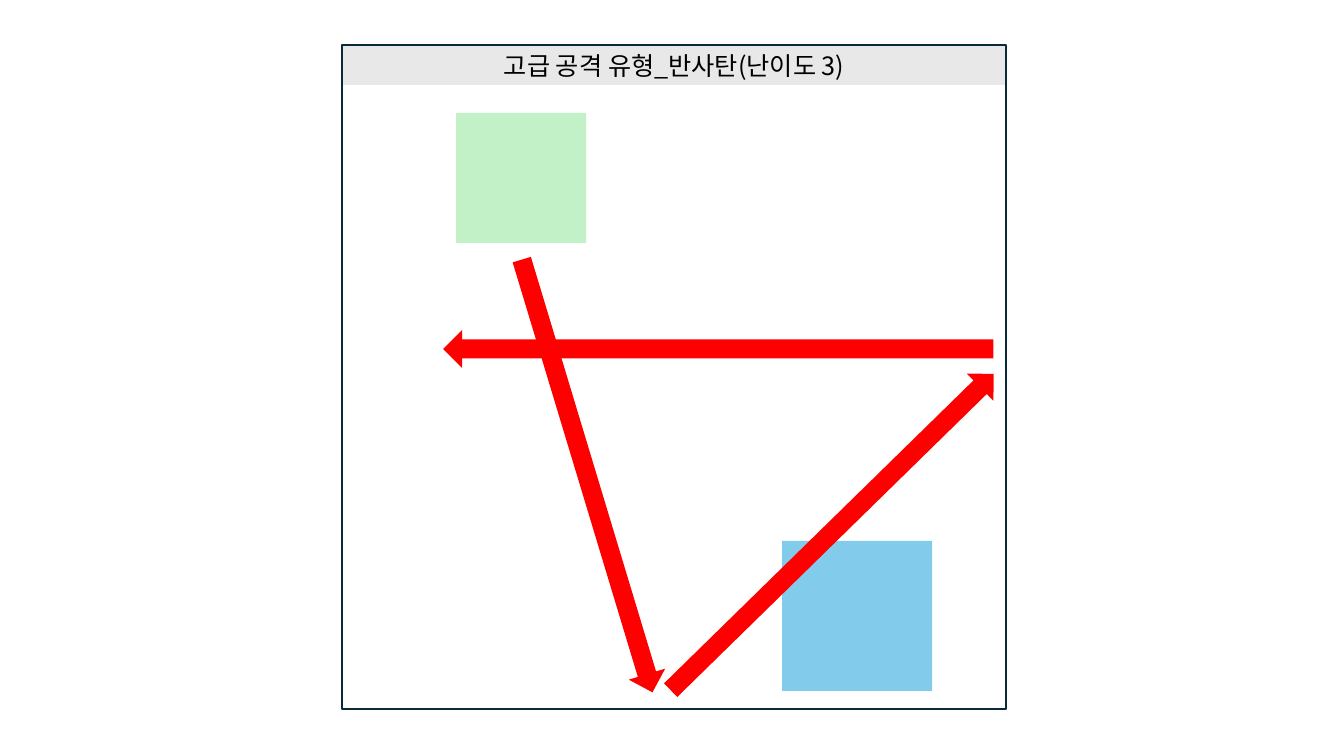
from lxml import etree
from pptx import Presentation, util as u
from pptx.dml.color import RGBColor
from pptx.enum import shapes, text
from pptx.oxml.ns import qn

BLACK = RGBColor(0x00, 0x00, 0x00)
GREY = RGBColor(0xE8, 0xE8, 0xE8)
BLUE = RGBColor(0x83, 0xCB, 0xEB)
GREEN = RGBColor(0xC2, 0xF1, 0xC8)
NAVY = RGBColor(0x09, 0x2A, 0x39)
RED = RGBColor(0xFF, 0x00, 0x00)


class Board:
    FONT = "Noto Sans CJK KR"
    SIZE = 18
    PX = u.Inches(1) / 100.8
    ARROW_WIDTH = 38

    def __init__(self, slide):
        self.s = slide

    def shape(self, kind, x, y, w, h, fill=None, line=None):
        box = [round(v * self.PX) for v in (x, y, w, h)]
        sp = self.s.shapes.add_shape(kind, *box)
        sp.shadow.inherit = False
        if fill is None:
            sp.fill.background()
        else:
            sp.fill.solid()
            sp.fill.fore_color.rgb = fill
        if line is None:
            sp.line.fill.background()
        else:
            sp.line.color.rgb = line
            sp.line.width = u.Pt(1.5)
        return sp

    def rect(self, x, y, w, h, fill=None, line=None):
        return self.shape(shapes.MSO_SHAPE.RECTANGLE, x, y, w, h, fill, line)

    def title(self, x, y, w, h, words):
        tf = self.rect(x, y, w, h, GREY).text_frame
        tf.word_wrap = True
        tf.vertical_anchor = text.MSO_ANCHOR.MIDDLE
        tf.margin_top = tf.margin_bottom = 0
        p = tf.paragraphs[0]
        p.text = words
        p.alignment = text.PP_ALIGN.CENTER
        r = p.runs[0]
        r.font.size = u.Pt(self.SIZE)
        r.font.name = self.FONT
        r.font.color.rgb = BLACK
        # Hangul takes the East Asian font
        etree.SubElement(r.font._element, qn("a:ea"), typeface=self.FONT)

    def arrow(self, cx, cy, length, angle):
        """Down arrow about its centre, turned clockwise by angle."""
        w = self.ARROW_WIDTH
        sp = self.shape(shapes.MSO_SHAPE.DOWN_ARROW,
                        cx - w // 2, cy - length // 2, w, length, RED)
        sp.rotation = angle


def main():
    prs = Presentation()
    prs.slide_width, prs.slide_height = u.Inches(13.33), u.Inches(7.5)
    board = Board(prs.slides.add_slide(prs.slide_layouts[6]))

    # Title bar
    board.title(342, 45, 664, 40, "고급 공격 유형_반사탄(난이도 3)")

    # Player and enemy blocks, then the arena frame
    board.rect(782, 541, 150, 150, BLUE)
    board.rect(456, 113, 130, 130, GREEN)
    board.rect(342, 45, 664, 664, line=NAVY)

    # Path of the bouncing shot
    for cx, cy, length, angle in ((587, 476, 452, 343.2),
                                  (832, 532, 452, 225.6),
                                  (718, 349, 550, 90)):
        board.arrow(cx, cy, length, angle)

    prs.save("out.pptx")


if __name__ == "__main__":
    main()
